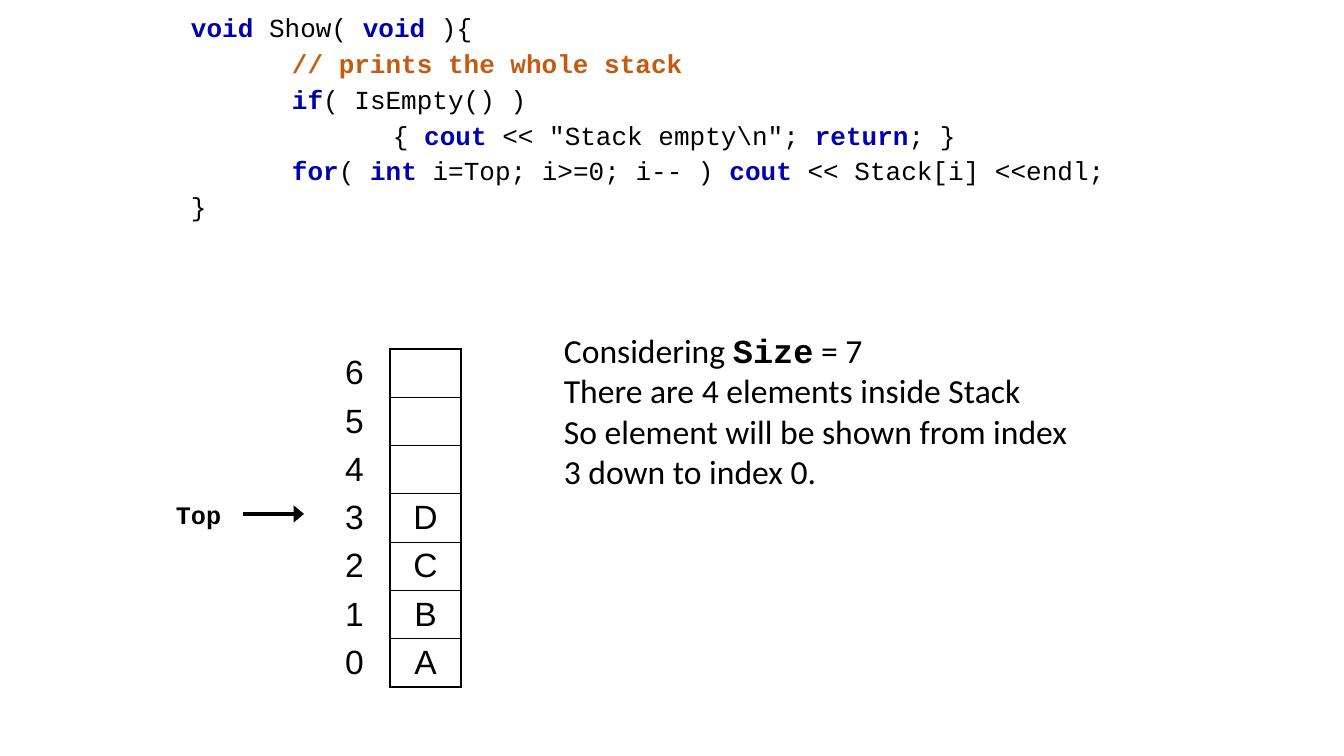
from lxml import etree
from pptx import Presentation
from pptx.dml.color import RGBColor
from pptx.enum.shapes import MSO_CONNECTOR, MSO_SHAPE
from pptx.enum.text import MSO_ANCHOR, PP_ALIGN
from pptx.oxml.ns import qn
from pptx.util import Pt

PX = 914400 / 100.8
BLACK, WHITE, KEYWORD, COMMENT = "000000", "FFFFFF", "0000B0", "C55A11"
CODE, BODY, CELL = "Courier New", "Calibri", "Arial"
NO_STYLE = "{2D5ABB26-0587-4C30-8999-92F81FD0307C}"
RIGHT_SIDE = 3


def px(*lengths):
    return [round(length * PX) for length in lengths]


def rgb(value):
    return RGBColor.from_string(value)


def set_font(font, size=None, name=None, color=None, bold=None):
    if size:
        font.size = Pt(size)
    if name:
        font.name = name
    if color:
        font.color.rgb = rgb(color)
    if bold is not None:
        font.bold = bold


class StackSlide:
    def __init__(self, presentation):
        self.shapes = presentation.slides.add_slide(presentation.slide_layouts[6]).shapes

    def text(self, box, lines, size, name, line_spacing=None, space_before=0, tabs=()):
        """Each line is a list of (text, font changes) pairs."""
        frame = self.shapes.add_textbox(*px(*box)).text_frame
        frame.word_wrap = True
        for number, line in enumerate(lines):
            paragraph = frame.add_paragraph() if number else frame.paragraphs[0]
            if line_spacing:
                paragraph.line_spacing = line_spacing
            if number and space_before:
                paragraph.space_before = Pt(space_before)
            if tabs:
                stops = etree.SubElement(paragraph._p.get_or_add_pPr(), qn("a:tabLst"))
                for position in px(*tabs):
                    etree.SubElement(stops, qn("a:tab"), pos=str(position), algn="l")
            set_font(paragraph.font, size, name, BLACK)
            for words, changes in line:
                run = paragraph.add_run()
                run.text = words
                set_font(run.font, **changes)

    def label(self, box, words):
        shape = self.shapes.add_shape(MSO_SHAPE.RECTANGLE, *px(*box))
        shape.shadow.inherit = False
        shape.fill.solid()
        shape.fill.fore_color.rgb = rgb(WHITE)
        shape.line.fill.background()
        frame = shape.text_frame
        frame.text = words
        frame.vertical_anchor = MSO_ANCHOR.MIDDLE
        frame.paragraphs[0].alignment = PP_ALIGN.CENTER
        set_font(frame.paragraphs[0].font, 18, CODE, BLACK, True)
        return shape

    def arrow(self, source, start, end):
        line = self.shapes.add_connector(MSO_CONNECTOR.STRAIGHT, *px(*start, *end))
        line.begin_connect(source, RIGHT_SIDE)
        line.line.width = Pt(2.5)
        line.line.color.rgb = rgb(BLACK)
        properties = line._element.spPr
        etree.SubElement(properties.find(qn("a:ln")), qn("a:tailEnd"),
                         type="triangle", w="lg", len="med")
        etree.SubElement(properties, qn("a:effectLst"))

    def cell(self, cell, words, sides, size=24):
        cell.text = words
        cell.margin_left = cell.margin_right = px(7)[0]
        cell.margin_top = cell.margin_bottom = px(4)[0]
        cell.vertical_anchor = MSO_ANCHOR.MIDDLE
        paragraph = cell.text_frame.paragraphs[0]
        paragraph.alignment = PP_ALIGN.CENTER
        set_font(paragraph.font, size, CELL, BLACK)
        properties = cell._tc.get_or_add_tcPr()
        for side in sides:
            border = etree.SubElement(properties, qn(f"a:ln{side}"), w=str(Pt(1)))
            fill = etree.SubElement(border, qn("a:solidFill"))
            etree.SubElement(fill, qn("a:srgbClr"), val=BLACK)
        cell.fill.background()

    def stack(self, left, top, width, header, pitch, elements):
        """Draw index and element columns below an empty header row."""
        count = len(elements)
        height = header + pitch * count
        table = self.shapes.add_table(count + 1, 2, *px(left, top, 2 * width, height)).table
        table.first_row = table.horz_banding = False
        table._tbl.tblPr.find(qn("a:tableStyleId")).text = NO_STYLE
        for column in table.columns:
            column.width = px(width)[0]
        table.rows[0].height = px(header)[0]
        self.cell(table.cell(0, 0), "", "", 12)
        self.cell(table.cell(0, 1), "", "B", 12)
        for row, element in enumerate(elements, 1):
            table.rows[row].height = px(pitch)[0]
            self.cell(table.cell(row, 0), str(count - row), "")
            self.cell(table.cell(row, 1), element, "LRTB")


def plain(words):
    return words, {}


def keyword(words):
    return words, {"color": KEYWORD, "bold": True}


def main():
    presentation = Presentation()
    presentation.slide_width, presentation.slide_height = px(1344, 756)
    slide = StackSlide(presentation)

    show_function = [
        [keyword("void"), plain(" Show( "), keyword("void"), plain(" ){")],
        [("\t// prints the whole stack", {"color": COMMENT, "bold": True})],
        [keyword("\tif"), plain("( IsEmpty() )")],
        [plain("\t\t{ "), keyword("cout "), plain('<< "Stack empty\\n"; '),
         keyword("return"), plain("; }")],
        [keyword("\tfor"), plain("( "), keyword("int "), plain("i=Top; i>=0; i-- ) "),
         keyword("cout"), plain(" << Stack[i] <<endl;")],
        [plain("}")],
    ]
    slide.text((181, 15, 982, 237), show_function, 18.6, CODE, 0.7, 10, (101, 202))

    slide.stack(319, 304, 71, 45, 48, ["", "", "", "D", "C", "B", "A"])

    explanation = [
        [plain("Considering "), ("Size", {"name": CODE, "bold": True}), plain(" = 7")],
        [plain("There are 4 elements inside Stack")],
        [plain("So element will be shown from index 3 down to index 0.")],
    ]
    slide.text((554, 325, 539, 173), explanation, 24, BODY)

    top_label = slide.label((154, 498, 89, 32), "Top")
    slide.arrow(top_label, (243, 514), (304, 514))

    presentation.save("out.pptx")


if __name__ == "__main__":
    main()
